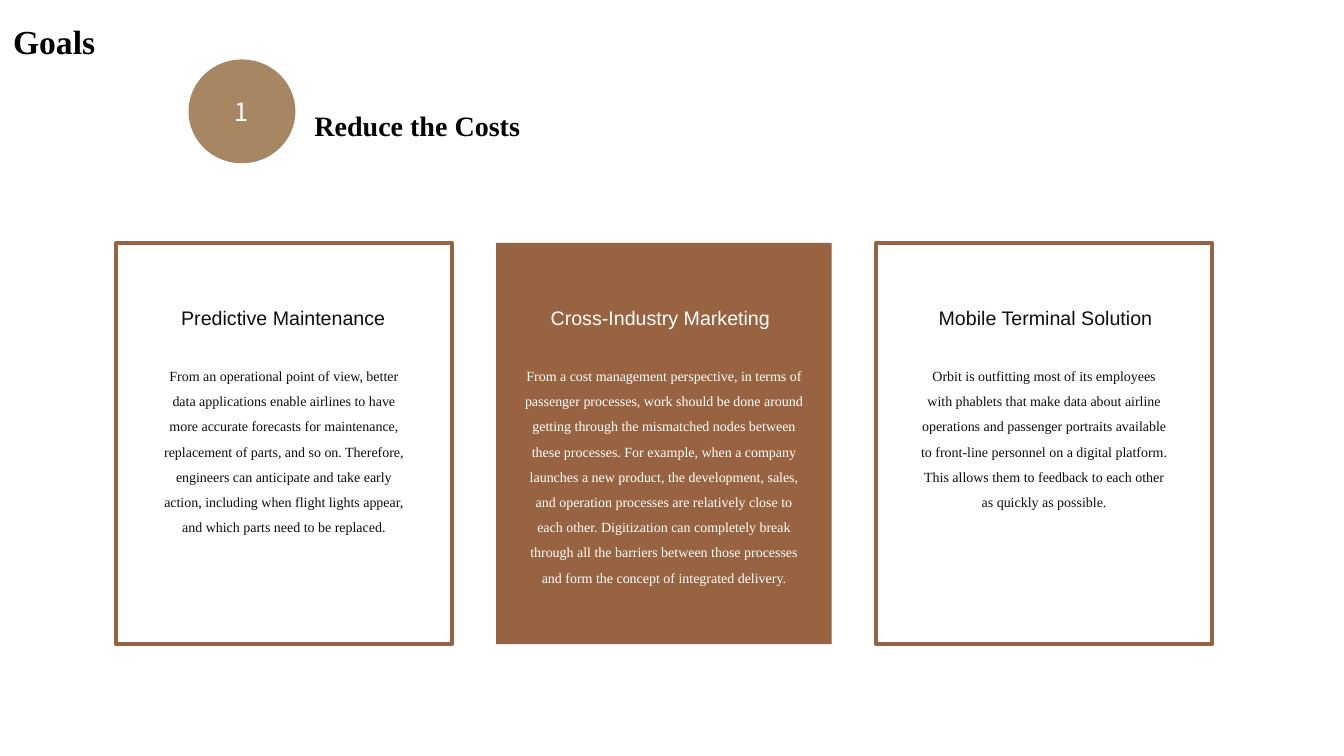
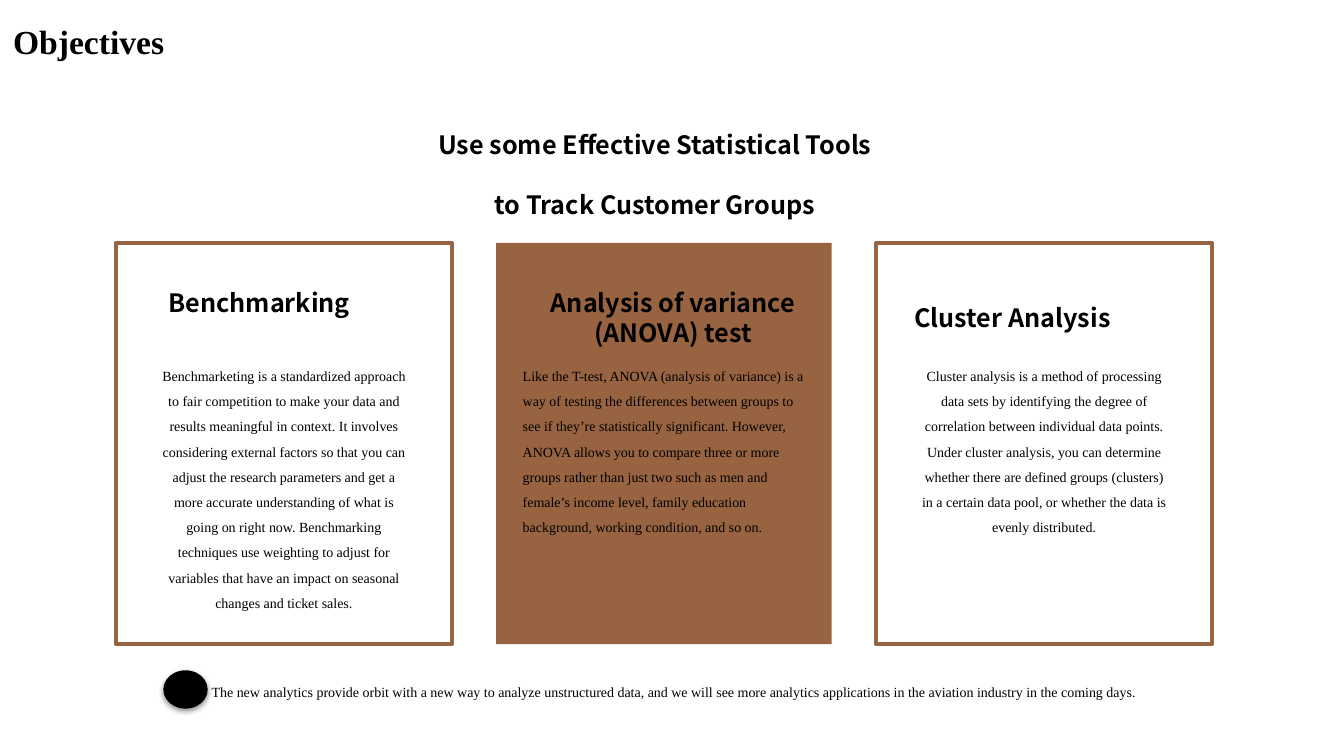
"""Build the Goals and Objectives slides with three cards each."""
from dataclasses import dataclass

from lxml import etree
from pptx import Presentation
from pptx.dml.color import RGBColor
from pptx.enum.shapes import MSO_SHAPE
from pptx.enum.text import MSO_ANCHOR as Anchor, MSO_AUTO_SIZE as AutoSize, PP_ALIGN as Align
from pptx.oxml.ns import qn
from pptx.util import Inches, Pt


@dataclass(frozen=True)
class Theme:
    brown: str = "986341"
    tan: str = "A78663"
    white: str = "FFFFFF"
    ink: str = "0E0E0E"
    black: str = "000000"
    serif: str = "Times New Roman"
    sans: str = "Arial"
    noto: str = "Noto Sans CJK SC"
    title: int = 24
    subtitle: int = 20
    heading: int = 18
    label: int = 14
    body: int = 10
    border: int = 3


THEME = Theme()

CARD_LEFT, CARD_TOP, CARD_WIDTH, CARD_HEIGHT = 1.15, 2.41, 3.33, 3.98
CARD_STEP = 3.77
HEADING_TOP, HEADING_HEIGHT = 2.95, 0.4
BODY_TOP, BODY_HEIGHT = 3.54, 0.92
BODY_WIDTHS = (2.55, 2.9, 2.55)
HEADING_OFFSETS = (0.47, 0.44, 0.33)
CARD_INSETS = (0.05, 0.02)
TITLE_INSETS = (0.13, 0.07)

GOAL_STYLE = {"font": THEME.sans, "size": THEME.label}
TOOL_STYLE = {"font": THEME.noto, "size": THEME.heading, "bold": True}

GOAL_CARDS = [
    {"heading": "Predictive Maintenance", "width": 2.38, "color": THEME.ink,
     "body": "From an operational point of view, better data applications enable airlines to "
             "have more accurate forecasts for maintenance, replacement of parts, and so on. "
             "Therefore, engineers can anticipate and take early action, including when flight "
             "lights appear, and which parts need to be replaced."},
    {"heading": "Cross-Industry Marketing", "width": 2.38, "color": THEME.white,
     "body": "From a cost management perspective, in terms of passenger processes, work should "
             "be done around getting through the mismatched nodes between these processes. For "
             "example, when a company launches a new product, the development, sales, and "
             "operation processes are relatively close to each other. Digitization can "
             "completely break through all the barriers between those processes and form the "
             "concept of integrated delivery."},
    {"heading": "Mobile Terminal Solution", "width": 2.7, "color": THEME.ink,
     "body": "Orbit is outfitting most of its employees with phablets that make data about "
             "airline operations and passenger portraits available to front-line personnel on "
             "a digital platform. This allows them to feedback to each other as quickly as "
             "possible."},
]

TOOL_CARDS = [
    {"heading": "Benchmarking", "width": 2.38, "color": THEME.black,
     "heading_align": Align.LEFT, "lift": 0.15,
     "body": "Benchmarketing is a standardized approach to fair competition to make your data "
             "and results meaningful in context. It involves considering external factors so "
             "that you can adjust the research parameters and get a more accurate "
             "understanding of what is going on right now. Benchmarking techniques use "
             "weighting to adjust for variables that have an impact on seasonal changes and "
             "ticket sales."},
    {"heading": "Analysis of variance (ANOVA) test", "width": 2.63, "color": THEME.black,
     "body_align": Align.LEFT,
     "body": "Like the T-test, ANOVA (analysis of variance) is a way of testing the differences "
             "between groups to see if they’re statistically significant. However, ANOVA "
             "allows you to compare three or more groups rather than just two such as men and "
             "female’s income level, family education background, working condition, and so "
             "on."},
    {"heading": "Cluster Analysis", "width": 2.7, "color": THEME.black,
     "heading_align": Align.LEFT,
     "body": "Cluster analysis is a method of processing data sets by identifying the degree of "
             "correlation between individual data points. Under cluster analysis, you can "
             "determine whether there are defined groups (clusters) in a certain data pool, or "
             "whether the data is evenly distributed."},
]

CLOSING = ("The new analytics provide orbit with a new way to analyze unstructured data, and we "
           "will see more analytics applications in the aviation industry in the coming days.")


def rgb(color):
    return RGBColor.from_string(color)


def write(paragraph, text, font, size, color, bold=False):
    run = paragraph.add_run()
    run.text = text
    run.font.name = font
    run.font.size = Pt(size)
    run.font.bold = bold
    run.font.color.rgb = rgb(color)


def add_text(slide, box, text, font=THEME.serif, size=THEME.body, color=THEME.black, bold=False,
             align=Align.LEFT, anchor=Anchor.TOP, spacing=1.0, insets=(0.1, 0.05), grow=False):
    frame = slide.shapes.add_textbox(*map(Inches, box)).text_frame
    frame.word_wrap = True
    frame.auto_size = AutoSize.SHAPE_TO_FIT_TEXT if grow else AutoSize.NONE
    frame.vertical_anchor = anchor
    frame.margin_left = frame.margin_right = Inches(insets[0])
    frame.margin_top = frame.margin_bottom = Inches(insets[1])
    paragraph = frame.paragraphs[0]
    paragraph.alignment = align
    paragraph.line_spacing = spacing
    write(paragraph, text, font, size, color, bold)


def add_shape(slide, kind, box, fill=None, line=None):
    shape = slide.shapes.add_shape(kind, *map(Inches, box))
    shape.shadow.inherit = False
    if fill:
        shape.fill.solid()
        shape.fill.fore_color.rgb = rgb(fill)
    else:
        shape.fill.background()
    if line:
        shape.line.color.rgb = rgb(line)
        shape.line.width = Pt(THEME.border)
    else:
        shape.line.fill.background()
    return shape


def add_soft_shadow(shape):
    effects = shape._element.spPr.find(qn("a:effectLst"))
    shadow = etree.SubElement(effects, qn("a:outerShdw"), blurRad=str(Pt(4)), dist=str(Pt(2)),
                              dir="5400000", algn="ctr", rotWithShape="0")
    color = etree.SubElement(shadow, qn("a:srgbClr"), val=THEME.black)
    etree.SubElement(color, qn("a:alpha"), val="43000")


def add_cards(slide, cards, heading_style):
    for index, card in enumerate(cards):
        left = CARD_LEFT + index * CARD_STEP
        paint = {"fill": THEME.brown} if index == 1 else {"line": THEME.brown}
        add_shape(slide, MSO_SHAPE.RECTANGLE, (left, CARD_TOP, CARD_WIDTH, CARD_HEIGHT), **paint)
        heading_box = (left + HEADING_OFFSETS[index], HEADING_TOP - card.get("lift", 0),
                       card["width"], HEADING_HEIGHT)
        add_text(slide, heading_box, card["heading"], color=card["color"], anchor=Anchor.MIDDLE,
                 align=card.get("heading_align", Align.CENTER), insets=CARD_INSETS,
                 **heading_style)
        body_width = BODY_WIDTHS[index]
        body_box = (left + (CARD_WIDTH - body_width) / 2, BODY_TOP, body_width, BODY_HEIGHT)
        add_text(slide, body_box, card["body"], color=card["color"], spacing=1.5,
                 align=card.get("body_align", Align.CENTER), insets=CARD_INSETS)


def add_card_slide(presentation, title, cards, heading_style):
    slide = presentation.slides.add_slide(presentation.slide_layouts[6])
    add_cards(slide, cards, heading_style)
    add_text(slide, (0, 0.02, 4.43, 0.82), title, size=THEME.title, bold=True,
             anchor=Anchor.MIDDLE, spacing=0.9, insets=TITLE_INSETS)
    return slide


def add_goals(presentation):
    slide = add_card_slide(presentation, "Goals", GOAL_CARDS, GOAL_STYLE)
    badge = add_shape(slide, MSO_SHAPE.OVAL, (1.87, 0.59, 1.06, 1.03), fill=THEME.tan)
    badge.text_frame.vertical_anchor = Anchor.MIDDLE
    paragraph = badge.text_frame.paragraphs[0]
    paragraph.alignment = Align.CENTER
    write(paragraph, "1", THEME.noto, THEME.heading, THEME.white)
    add_text(slide, (3.02, 0.69, 3.11, 0.67), "Reduce the Costs", size=THEME.subtitle,
             bold=True, spacing=2.0, grow=True)


def add_objectives(presentation):
    slide = add_card_slide(presentation, "Objectives", TOOL_CARDS, TOOL_STYLE)
    add_text(slide, (4.18, 0.93, 4.63, 1.22),
             "Use some Effective Statistical Tools to Track Customer Groups",
             align=Align.CENTER, spacing=2.0, grow=True, **TOOL_STYLE)
    bullet = add_shape(slide, MSO_SHAPE.OVAL, (1.62, 6.65, 0.44, 0.38), fill=THEME.black)
    add_soft_shadow(bullet)
    add_text(slide, (2, 6.65, 9.78, 0.32), CLOSING, spacing=1.5, grow=True)


def main():
    presentation = Presentation()
    presentation.slide_width = Inches(13.33)
    presentation.slide_height = Inches(7.5)
    add_goals(presentation)
    add_objectives(presentation)
    presentation.save("out.pptx")


if __name__ == "__main__":
    main()
